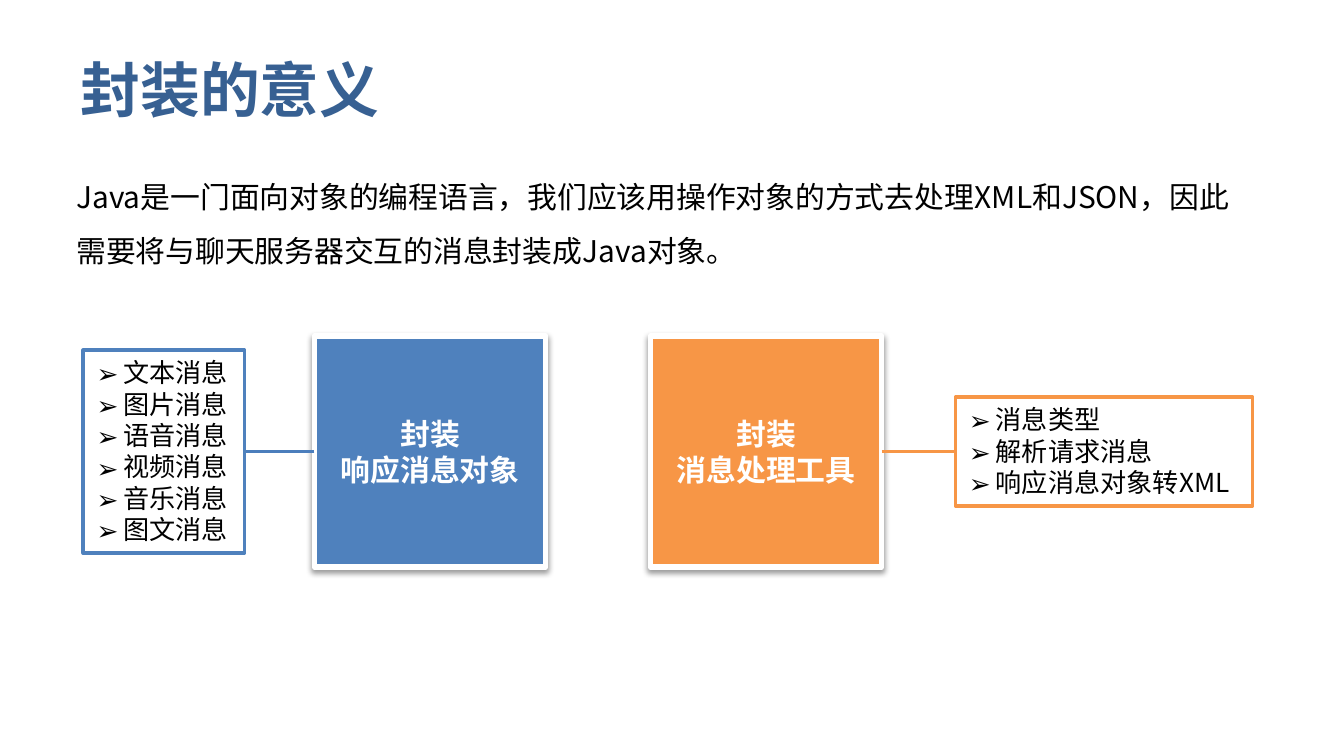
from lxml.etree import SubElement
from pptx import Presentation
from pptx.dml.color import RGBColor
from pptx.enum.shapes import MSO_CONNECTOR, MSO_SHAPE
from pptx.enum.text import MSO_ANCHOR, PP_ALIGN
from pptx.oxml.ns import qn
from pptx.util import Inches, Pt

FONT = "Noto Sans CJK SC"
BLUE, ORANGE, WHITE = "4F81BD", "F79646", "FFFFFF"


def paint(target, color):
    """Give a fill or a line one solid colour."""
    fill = target if hasattr(target, "solid") else target.fill
    fill.solid()
    fill.fore_color.rgb = RGBColor.from_string(color)


def write(shape, text, size=16, color="000000", bold=False, align=PP_ALIGN.LEFT,
          anchor=MSO_ANCHOR.TOP, wrap=True, space=1.0, bullet=None):
    """Fill a shape with formatted text, one paragraph per line."""
    frame = shape.text_frame
    frame.text = text
    frame.word_wrap = wrap
    frame.vertical_anchor = anchor
    for para in frame.paragraphs:
        para.alignment = align
        para.line_spacing = space
        if bullet:
            props = para._p.get_or_add_pPr()
            props.set("marL", str(Inches(0.2)))
            props.set("indent", str(Inches(-0.2)))
            SubElement(props, qn("a:buFont"), typeface=FONT)
            SubElement(props, qn("a:buChar"), char=bullet)
        for run in para.runs:
            font = run.font
            font.name, font.size, font.bold = FONT, Pt(size), bold
            paint(font, color)
            SubElement(font._element, qn("a:ea"), typeface=FONT)


deck = Presentation()
deck.slide_width = Inches(10)
deck.slide_height = deck.slide_width * 9 // 16
slide = deck.slides.add_slide(deck.slide_layouts[5])
shapes = slide.shapes

title = shapes.title
title.left, title.top = Inches(0.5), Inches(0.3)
title.width, title.height = Inches(9), Inches(0.72)
write(title, "封装的意义", size=32, color="376092", bold=True,
      anchor=MSO_ANCHOR.MIDDLE)

intro = shapes.add_textbox(Inches(0.47), Inches(1.15), Inches(8.91), Inches(0.91))
write(intro, "Java是一门面向对象的编程语言，我们应该用操作对象的方式去处理XML和JSON，"
      "因此需要将与聊天服务器交互的消息封装成Java对象。", space=1.5)

SIDE, MID = 1.72, 3.36
# square left, square text, colour, list left, width, height, items, line start, end, colour
groups = [
    (2.34, "封装\n响应消息对象", BLUE, 0.62, 1.2, 1.51,
     ["文本消息", "图片消息", "语音消息", "视频消息", "音乐消息", "图文消息"],
     2.34, 1.83, "4B7EBC"),
    (4.84, "封装\n消息处理工具", ORANGE, 7.11, 2.21, 0.81,
     ["消息类型", "解析请求消息", "响应消息对象转XML"],
     6.56, 7.11, ORANGE),
]
for left, label, color, edge, width, height, items, start, end, tint in groups:
    square = shapes.add_shape(MSO_SHAPE.RECTANGLE, Inches(left),
                              Inches(MID - SIDE / 2), Inches(SIDE), Inches(SIDE))
    paint(square.fill, color)
    paint(square.line, WHITE)
    square.line.width = Pt(3)
    square.shadow.inherit = False
    glow = SubElement(square._element.spPr.find(qn("a:effectLst")),
                      qn("a:outerShdw"), blurRad=str(Pt(3.1)), dist=str(Pt(1.6)),
                      dir="5400000", rotWithShape="0")
    black = SubElement(glow, qn("a:srgbClr"), val="000000")
    SubElement(black, qn("a:alpha"), val="38000")
    write(square, label, color=WHITE, bold=True, align=PP_ALIGN.CENTER,
          anchor=MSO_ANCHOR.MIDDLE)

    panel = shapes.add_shape(MSO_SHAPE.RECTANGLE, Inches(edge),
                             Inches(MID - height / 2), Inches(width), Inches(height))
    paint(panel.fill, WHITE)
    paint(panel.line, color)
    panel.line.width = Pt(2)
    panel.shadow.inherit = False
    write(panel, "\n".join(items), size=14, wrap=False, bullet="➢")

    link = shapes.add_connector(MSO_CONNECTOR.STRAIGHT, Inches(start), Inches(MID),
                                Inches(end), Inches(MID))
    paint(link.line, tint)
    link.line.width = Pt(1.5)
    SubElement(link._element.spPr, qn("a:effectLst"))

deck.save("out.pptx")
